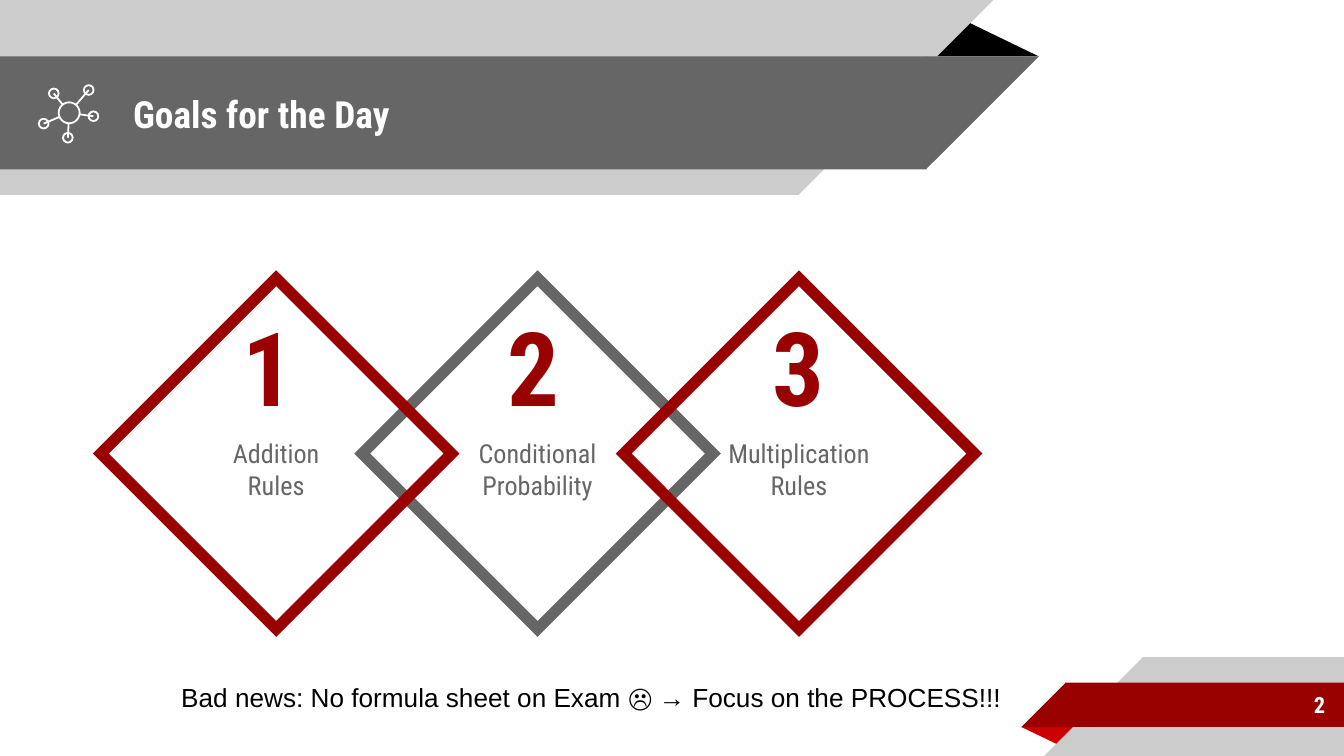
from dataclasses import dataclass
from math import hypot

from lxml.etree import SubElement
from pptx import Presentation
from pptx.dml.color import RGBColor as Rgb
from pptx.enum.shapes import MSO_CONNECTOR as Link, MSO_SHAPE as Form
from pptx.enum.text import MSO_ANCHOR as Anchor, MSO_AUTO_SIZE as Fit, PP_ALIGN as Align
from pptx.oxml.ns import qn
from pptx.util import Inches, Pt

# The grid has square cells of a tenth of an inch
COLS, ROWS = 100, 56.25
LAP = 0.05  # overlap that closes the seam inside a band


@dataclass(frozen=True)
class Theme:
    red: str = "990000"
    bright: str = "CC0000"
    dark: str = "666666"
    light: str = "CCCCCC"
    white: str = "FFFFFF"
    black: str = "000000"
    face: str = "Roboto Condensed"
    plain: str = "Arial"
    title: int = 20
    page: int = 12
    body: int = 14
    digit: int = 55
    frame: float = 6
    thin: float = 0.96


THEME = Theme()


def grid(*cells):
    """Turn grid cells into lengths."""
    return [Inches(c / 10) for c in cells]


def write(shape, text, size=THEME.body, color=THEME.black, face=THEME.face, bold=False,
          align=Align.LEFT, anchor=Anchor.MIDDLE, inset=(1, 1, 1, 1), wrap=True, fit=Fit.NONE):
    """Put formatted text in a shape; inset is left, top, right, bottom."""
    frame = shape.text_frame
    frame.word_wrap, frame.auto_size, frame.vertical_anchor = wrap, fit, anchor
    (frame.margin_left, frame.margin_top,
     frame.margin_right, frame.margin_bottom) = grid(*inset)
    par = frame.paragraphs[0]
    par.alignment = align
    run = par.add_run()
    run.text = text
    font = run.font
    font.size, font.name, font.bold = Pt(size), face, bold
    font.color.rgb = Rgb.from_string(color)


def label(slide, box, text, **style):
    """Add a text box."""
    write(slide.shapes.add_textbox(*grid(*box)), text, **style)


def draw(slide, form, box, fill=None, line=None, width=1, turn=0, flip=False):
    """Add a preset shape with sharp corners."""
    shape = slide.shapes.add_shape(form, *grid(*box))
    shape.shadow.inherit = False
    shape.rotation = turn
    if flip:
        shape._element.spPr.find(qn("a:xfrm")).set("flipH", "1")
    if fill:
        shape.fill.solid()
        shape.fill.fore_color.rgb = Rgb.from_string(fill)
    else:
        shape.fill.background()
    if line:
        shape.line.color.rgb = Rgb.from_string(line)
        shape.line.width = Pt(width)
        SubElement(shape._element.spPr.find(qn("a:ln")), qn("a:miter")).set("lim", "800000")
    else:
        shape.line.fill.background()
    return shape


def join(slide, start, end):
    """Add a thin white line."""
    line = slide.shapes.add_connector(Link.STRAIGHT, *grid(*start, *end))
    line.line.color.rgb = Rgb.from_string(THEME.white)
    line.line.width = Pt(THEME.thin)
    SubElement(line._element.spPr, qn("a:effectLst"))


def ring(slide, x, y, r):
    """Add a white circle around a centre."""
    draw(slide, Form.OVAL, (x - r, y - r, 2 * r, 2 * r), line=THEME.white, width=THEME.thin)


def fold(slide, box, fill, turn=0):
    """Add the folded corner behind a band."""
    draw(slide, Form.ISOSCELES_TRIANGLE, box, fill, turn=turn).adjustments[0] = 0.32


def head(slide, y, wide, high, fill):
    """Add a band from the left edge with a slanted right end."""
    draw(slide, Form.RECTANGLE, (0, y, wide + LAP, high), fill)
    draw(slide, Form.RIGHT_TRIANGLE, (wide, y, high, high), fill, turn=180, flip=True)


def foot(slide, x, y, high, fill):
    """Add a band to the right edge with a slanted left end."""
    left = x + high - LAP
    draw(slide, Form.RECTANGLE, (left, y, COLS - left, high), fill)
    draw(slide, Form.RIGHT_TRIANGLE, (x, y, high, high), fill, flip=True)


def icon(slide):
    """Add the network icon: a hub with five nodes."""
    x, y, r = 5.15, 8.4, 0.78
    ring(slide, x, y, r)
    for a, b in [(6.6, 6.7), (4, 6.95), (3.25, 9.2), (5.05, 10.25), (6.95, 8.65)]:
        ring(slide, a, b, 0.36)
        part = r / hypot(a - x, b - y)
        join(slide, (a, b), (x + (a - x) * part, y + (b - y) * part))


def goals(slide):
    """Add the three linked diamonds, the middle one at the back."""
    names = ["Addition Rules", "Conditional Probability", "Multiplication Rules"]
    for i in (1, 0, 2):
        mid = i == 1
        gem = draw(slide, Form.DIAMOND, (7.5 + 19.45 * i, 20.7, 26.1, 26.1),
                   fill=THEME.white if mid else None,
                   line=THEME.dark if mid else THEME.red, width=THEME.frame)
        write(gem, names[i], color=THEME.dark, align=Align.CENTER, inset=(1.2, 3.3, 1.2, 1))
    for i in range(len(names)):
        label(slide, (17.1 + 19.7 * i, 21.8, 5.4, 11), str(i + 1), size=THEME.digit,
              color=THEME.red, bold=True, anchor=Anchor.BOTTOM)


def main():
    deck = Presentation()
    deck.slide_width, deck.slide_height = grid(COLS, ROWS)
    slide = deck.slides.add_slide(deck.slide_layouts[5])

    # Bands at the top
    fold(slide, (68.8, 1.4, 8.5, 2.8), THEME.black)
    head(slide, 0, 59.4, 14.5, THEME.light)
    head(slide, 4.2, 68.9, 8.4, THEME.dark)

    # Bands at the bottom
    fold(slide, (76, 54.1, 4.3, 1.4), THEME.bright, turn=180)
    foot(slide, 77.7, 48.9, 7.35, THEME.light)
    foot(slide, 76, 50.8, 3.3, THEME.red)

    # Title, moved in front of the bands
    title = slide.shapes.title
    title.left, title.top, title.width, title.height = grid(8.9, 4.25, 57.5, 8.4)
    write(title, "Goals for the Day", size=THEME.title, color=THEME.white, bold=True)
    slide.shapes._spTree.append(title._element)

    # Page number, content and closing note
    label(slide, (83.3, 50.7, 16.3, 3.5), "2", size=THEME.page, color=THEME.white,
          bold=True, align=Align.RIGHT)
    goals(slide)
    icon(slide)
    label(slide, (12.5, 50.2, 63.2, 3.4),
          "Bad news: No formula sheet on Exam ☹ → Focus on the PROCESS!!!",
          face=THEME.plain, anchor=Anchor.TOP, inset=(1, 0.5, 1, 0.5),
          wrap=False, fit=Fit.SHAPE_TO_FIT_TEXT)

    deck.save("out.pptx")


if __name__ == "__main__":
    main()
